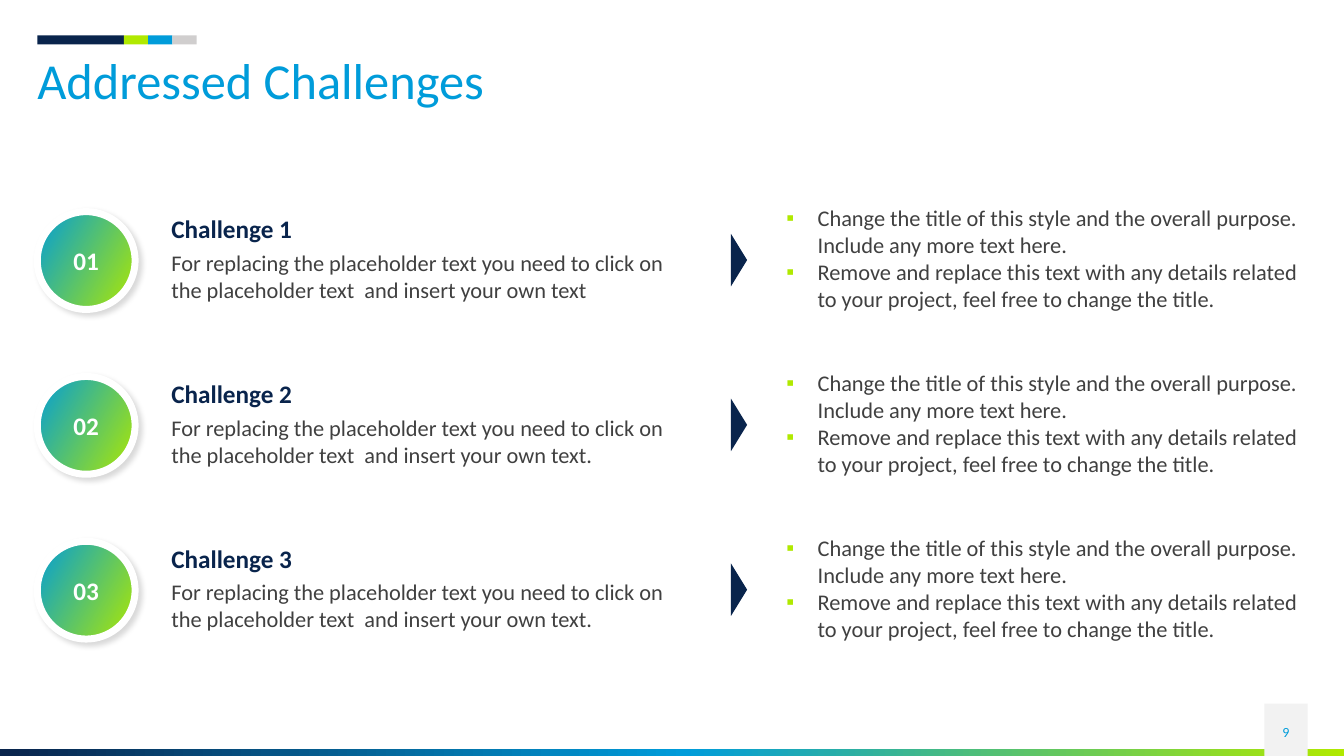
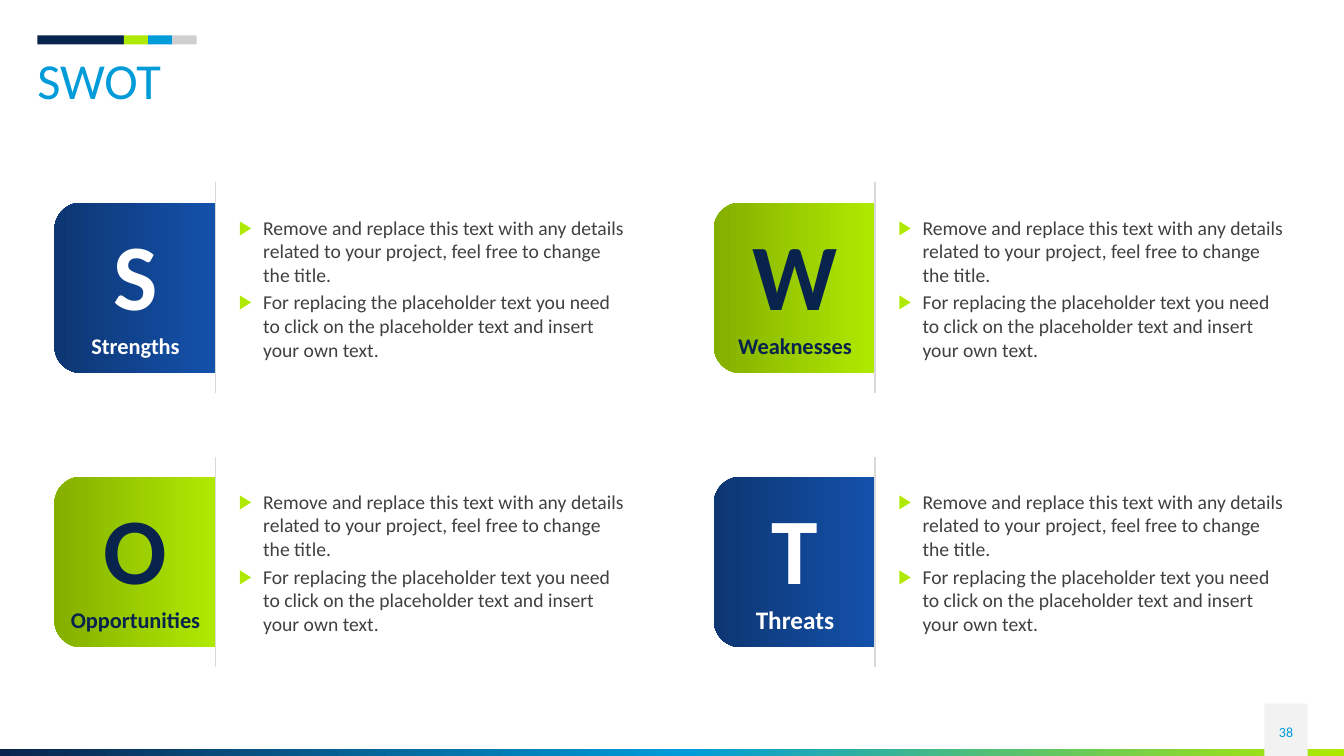
from dataclasses import dataclass
from typing import Optional

from lxml import etree
from pptx import Presentation
from pptx.dml.color import RGBColor
from pptx.enum.shapes import MSO_CONNECTOR as Connector, MSO_SHAPE as Shape
from pptx.enum.text import MSO_ANCHOR as Anchor, MSO_AUTO_SIZE as AutoSize, PP_ALIGN as Align
from pptx.oxml.ns import qn
from pptx.util import Inches, Pt

FONT = "Calibri"
NAVY, BLUE, LIME = "09244C", "009CDA", "B0E900"
WHITE, GREY_TEXT, SILVER = "FFFFFF", "404040", "D0CECE"
LINE_GREY, PAGE_GREY = "D9D9D9", "F2F2F2"
LEFT_MARGIN, CONTENT_WIDTH = 0.37, 12.6
COMPARISON_LAYOUT = 4  # a title and four body placeholders

DETAILS = ("Remove and replace this text with any details related to your project, "
           "feel free to change the title.")


@dataclass(frozen=True)
class Box:
    left: float
    top: float
    width: float
    height: float

    def lengths(self) -> tuple:
        return tuple(Inches(n) for n in (self.left, self.top, self.width, self.height))


@dataclass(frozen=True)
class Style:
    size: float
    color: str
    bold: bool = False
    align: Align = Align.LEFT
    anchor: Anchor = Anchor.TOP
    line_spacing: float = 1.0
    gap: float = 0  # points between paragraphs


@dataclass(frozen=True)
class Bullet:
    character: str
    indent: float


@dataclass(frozen=True)
class Challenge:
    number: str
    heading: str
    description: str


@dataclass(frozen=True)
class Theme:
    gradient: tuple
    text: str


@dataclass(frozen=True)
class Quadrant:
    label: str
    theme: Theme
    label_size: int = 16


TITLE = Style(36, BLUE, line_spacing=0.9)
PAGE_NUMBER = Style(10, BLUE, align=Align.CENTER, anchor=Anchor.MIDDLE)
CIRCLE_NUMBER = Style(18, WHITE, True, Align.CENTER, Anchor.MIDDLE)
HEADING = Style(18, NAVY, True)
BODY = Style(16, GREY_TEXT)
SWOT_BODY = Style(14, GREY_TEXT, anchor=Anchor.MIDDLE, gap=3)

SQUARE = Bullet("▪", 0.31)
ARROW = Bullet("▶", 0.24)

BLUE_TILE = Theme(((0, "1451AB"), (100, "0D3672")), WHITE)
LIME_TILE = Theme(((0, LIME), (100, "84AF00")), NAVY)

DESCRIPTION = ("For replacing the placeholder text you need to click on "
               "the placeholder text  and insert your own text")
CHALLENGES = (
    Challenge("01", "Challenge 1", DESCRIPTION),
    Challenge("02", "Challenge 2", DESCRIPTION + "."),
    Challenge("03", "Challenge 3", DESCRIPTION + "."),
)
CHALLENGE_POINTS = (
    "Change the title of this style and the overall purpose. Include any more text here.",
    DETAILS,
)
QUADRANTS = (
    Quadrant("Strengths", BLUE_TILE),
    Quadrant("Weaknesses", LIME_TILE),
    Quadrant("Opportunities", LIME_TILE),
    Quadrant("Threats", BLUE_TILE, 18),
)
SWOT_POINTS = (
    DETAILS,
    "For replacing the placeholder text you need to click on the placeholder text "
    "and insert your own text.",
)


def rgb(color: str) -> RGBColor:
    return RGBColor.from_string(color)


def add_child(parent, tag: str, **attributes):
    return etree.SubElement(parent, qn(tag), {k: str(v) for k, v in attributes.items()})


# Text
def set_bullet(paragraph, bullet: Bullet) -> None:
    properties = paragraph._p.get_or_add_pPr()
    properties.set("marL", str(Inches(bullet.indent)))
    properties.set("indent", str(-Inches(bullet.indent)))
    add_child(add_child(properties, "a:buClr"), "a:srgbClr", val=LIME)
    add_child(properties, "a:buFont", typeface="Arial")
    add_child(properties, "a:buChar", char=bullet.character)


def write(shape, text: str, style: Style, bullet: Optional[Bullet] = None) -> None:
    frame = shape.text_frame
    frame.text = text
    frame.word_wrap = True
    frame.auto_size = AutoSize.NONE
    frame.vertical_anchor = style.anchor
    frame.margin_left = frame.margin_right = frame.margin_top = frame.margin_bottom = 0
    for index, paragraph in enumerate(frame.paragraphs):
        if bullet:
            set_bullet(paragraph, bullet)
        paragraph.alignment = style.align
        paragraph.line_spacing = style.line_spacing
        paragraph.space_before = Pt(style.gap if index else 0)
        for run in paragraph.runs:
            run.font.name = FONT
            run.font.size = Pt(style.size)
            run.font.bold = style.bold
            run.font.color.rgb = rgb(style.color)


def add_text(slide, box: Box, text: str, style: Style) -> None:
    write(slide.shapes.add_textbox(*box.lengths()), text, style)


def fill_placeholder(placeholder, box: Box, text: str, style: Style,
                     bullet: Optional[Bullet] = None) -> None:
    (placeholder.left, placeholder.top,
     placeholder.width, placeholder.height) = box.lengths()
    write(placeholder, text, style, bullet)


# Shapes
def add_shape(slide, kind: Shape, box: Box, color: str = WHITE, rotation: float = 0):
    shape = slide.shapes.add_shape(kind, *box.lengths())
    shape.shadow.inherit = False
    shape.fill.solid()
    shape.fill.fore_color.rgb = rgb(color)
    shape.line.fill.background()
    shape.rotation = rotation
    return shape


def set_gradient(shape, stops: tuple, angle: int) -> None:
    properties = shape._element.spPr
    solid = properties.find(qn("a:solidFill"))
    gradient = etree.Element(qn("a:gradFill"), rotWithShape="1")
    stop_list = add_child(gradient, "a:gsLst")
    for position, color in stops:
        stop = add_child(stop_list, "a:gs", pos=position * 1000)
        add_child(stop, "a:srgbClr", val=color)
    add_child(gradient, "a:lin", ang=angle * 60000, scaled=0)
    properties.replace(solid, gradient)


def set_soft_shadow(shape) -> None:
    effects = shape._element.spPr.find(qn("a:effectLst"))
    shadow = add_child(effects, "a:outerShdw", blurRad=Pt(4), dist=Pt(3),
                       dir=45 * 60000, algn="tl", rotWithShape=0)
    add_child(add_child(shadow, "a:srgbClr", val="000000"), "a:alpha", val=15000)


def add_vertical_rule(slide, x: float, top: float, bottom: float) -> None:
    rule = slide.shapes.add_connector(
        Connector.STRAIGHT, Inches(x), Inches(top), Inches(x), Inches(bottom))
    rule.line.color.rgb = rgb(LINE_GREY)
    rule.line.width = Pt(1)
    add_child(rule._element.spPr, "a:effectLst")


# Shared slide frame
def add_framed_slide(presentation, title: str, page: int):
    slide = presentation.slides.add_slide(presentation.slide_layouts[COMPARISON_LAYOUT])
    bottom_band = add_shape(slide, Shape.RECTANGLE, Box(0, 7.43, 13.33, 0.07))
    set_gradient(bottom_band, ((0, NAVY), (51, BLUE), (100, LIME)), 0)
    add_shape(slide, Shape.RECTANGLE, Box(12.54, 6.98, 0.43, 0.52), PAGE_GREY)
    left = LEFT_MARGIN
    for width, color in ((0.86, NAVY), (0.24, LIME), (0.24, BLUE), (0.24, SILVER)):
        add_shape(slide, Shape.RECTANGLE, Box(left, 0.35, width, 0.09), color)
        left += width
    fill_placeholder(slide.shapes.title, Box(LEFT_MARGIN, 0.56, CONTENT_WIDTH, 0.55),
                     title, TITLE)
    add_text(slide, Box(12.54, 7.06, 0.43, 0.4), str(page), PAGE_NUMBER)
    return slide


def body_placeholders(slide, count: int) -> list:
    bodies = [p for p in slide.placeholders if p.placeholder_format.idx > 0]
    for unused in bodies[count:]:
        unused.element.getparent().remove(unused.element)
    return bodies[:count]


# Challenges slide
def add_challenge(slide, body, challenge: Challenge, top: float) -> None:
    circle = add_shape(slide, Shape.OVAL, Box(LEFT_MARGIN, top, 0.97, 0.97))
    set_gradient(circle, ((0, BLUE), (100, LIME)), 30)
    circle.line.color.rgb = rgb(WHITE)
    circle.line.width = Pt(5)
    set_soft_shadow(circle)
    write(circle, challenge.number, CIRCLE_NUMBER)
    add_text(slide, Box(1.7, top + 0.02, 5.17, 0.34), challenge.heading, HEADING)
    add_text(slide, Box(1.7, top + 0.37, 5.17, 0.58), challenge.description, BODY)
    add_shape(slide, Shape.ISOSCELES_TRIANGLE, Box(7.07, top + 0.4, 0.52, 0.16), NAVY, 90)
    fill_placeholder(body, Box(7.8, top - 0.07, 5.17, 1.12),
                     "\n".join(CHALLENGE_POINTS), BODY, SQUARE)


def build_challenges(presentation) -> None:
    slide = add_framed_slide(presentation, "Addressed Challenges", 9)
    first_top, last_top = 2.1, 5.37
    pitch = (last_top - first_top) / (len(CHALLENGES) - 1)
    bodies = body_placeholders(slide, len(CHALLENGES))
    for row, (body, challenge) in enumerate(zip(bodies, CHALLENGES)):
        add_challenge(slide, body, challenge, first_top + row * pitch)


# SWOT slide
def add_quadrant(slide, body, quadrant: Quadrant, left: float, top: float) -> None:
    # The tile is turned on its side, so its frame is wider than it is high
    tile = add_shape(slide, Shape.ROUND_2_SAME_RECTANGLE,
                     Box(left - 0.05, top + 0.05, 1.69, 1.59), rotation=270)
    set_gradient(tile, quadrant.theme.gradient, 270)
    add_vertical_rule(slide, left + 1.6, top - 0.2, top + 1.89)
    captions = ((quadrant.label[0], 67, 0.13, 1.13),
                (quadrant.label, quadrant.label_size, 1.27, 0.3))
    for text, size, offset, height in captions:
        style = Style(size, quadrant.theme.text, True, Align.CENTER, Anchor.MIDDLE)
        add_text(slide, Box(left + 0.12, top + offset, 1.37, height), text, style)
    fill_placeholder(body, Box(left + 1.83, top + 0.12, 3.88, 1.46),
                     "\n".join(SWOT_POINTS), SWOT_BODY, ARROW)


def build_swot(presentation) -> None:
    slide = add_framed_slide(presentation, "SWOT", 38)
    bodies = body_placeholders(slide, len(QUADRANTS))
    for index, (body, quadrant) in enumerate(zip(bodies, QUADRANTS)):
        row, column = divmod(index, 2)
        add_quadrant(slide, body, quadrant, 0.54 + column * 6.54, 2.01 + row * 2.72)


def main() -> None:
    presentation = Presentation()
    presentation.slide_width = Inches(13.33)
    presentation.slide_height = Inches(7.5)
    build_challenges(presentation)
    build_swot(presentation)
    presentation.save("out.pptx")


if __name__ == "__main__":
    main()
